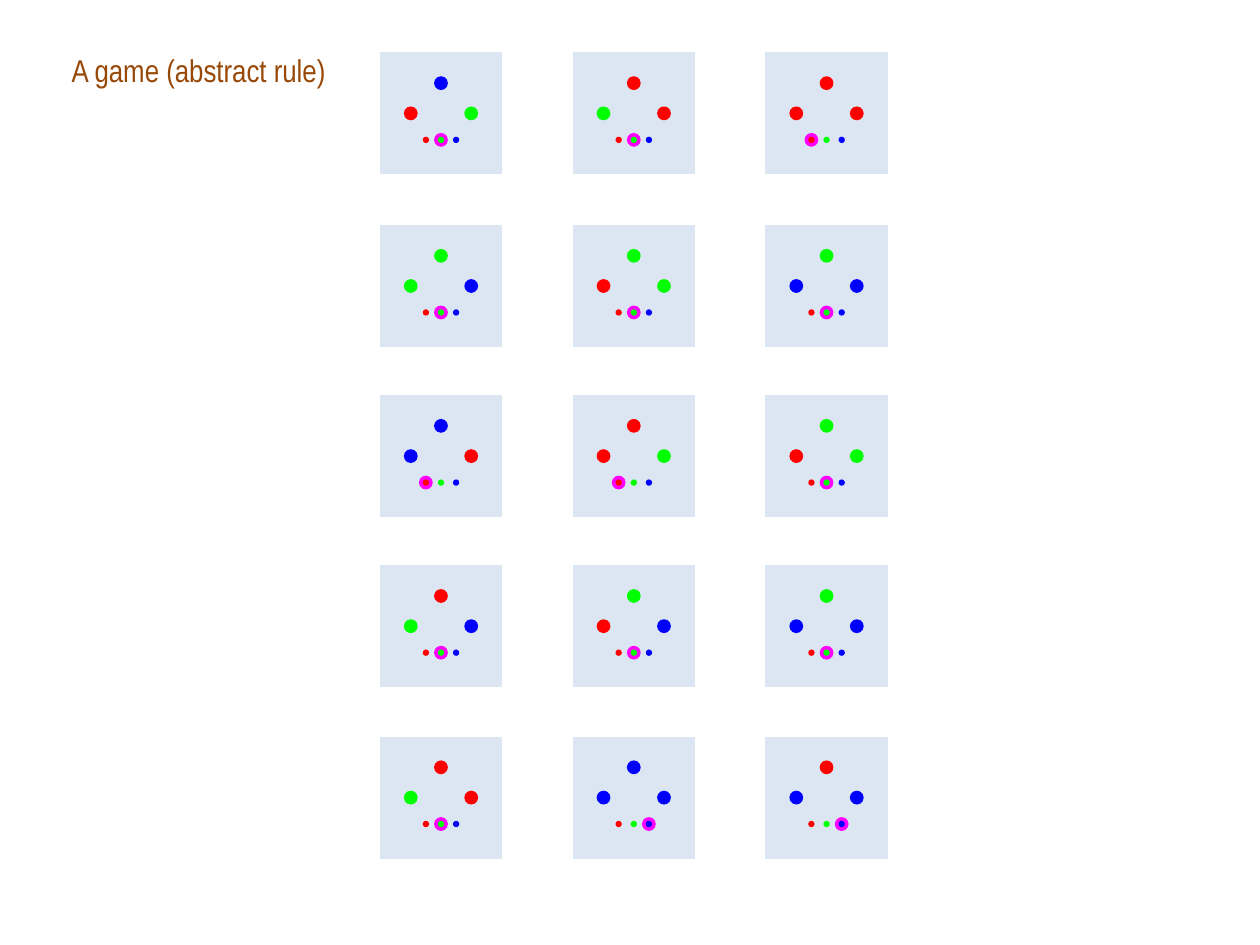
from dataclasses import dataclass

from pptx import Presentation
from pptx.dml.color import RGBColor
from pptx.enum import shapes, text
from pptx.util import Inches, Pt


@dataclass(frozen=True)
class Theme:
    font: str = "Arial Narrow"
    title_size: int = 18
    title: str = "984807"
    panel: str = "DCE6F2"
    outline: str = "FFFFFF"
    marker: str = "FF00FF"


THEME = Theme()
COLOURS = {"R": "FF0000", "G": "00FF00", "B": "0000FF"}

COLUMN_LEFTS = [3.01 + 1.53 * column for column in range(3)]
ROW_TOPS = [0.41, 1.78, 3.13, 4.48, 5.84]
PANEL_SIZE = 0.98
DOT_SIZE = 0.11
CHOICE_SIZE = 0.05

# Dot centres measured from the panel's top left corner
DOT_CENTRES = [(0.25, 0.49), (0.49, 0.25), (0.73, 0.49)]
CHOICE_CENTRES = {"R": (0.37, 0.7), "G": (0.49, 0.7), "B": (0.61, 0.7)}

# Each round: colours of the left, top and right dots, then the marked choice
ROUNDS = [
    ["RBG G", "GRR G", "RRR R"],
    ["GGB G", "RGG G", "BGB G"],
    ["BBR R", "RRG R", "RGG G"],
    ["GRB G", "RGB G", "BGB G"],
    ["GRR G", "BBB B", "BRB B"],
]


def add_title(slide, words):
    box = slide.shapes.add_textbox(Inches(0.47), Inches(0.36), Inches(2.24), Inches(0.4))
    frame = box.text_frame
    frame.word_wrap = False
    frame.auto_size = text.MSO_AUTO_SIZE.SHAPE_TO_FIT_TEXT
    paragraph = frame.paragraphs[0]
    paragraph.text = words
    paragraph.font.name = THEME.font
    paragraph.font.size = Pt(THEME.title_size)
    paragraph.font.color.rgb = RGBColor.from_string(THEME.title)


def add_plain_shape(slide, kind, left, top, size, fill=None, line=None):
    shape = slide.shapes.add_shape(
        kind, Inches(left), Inches(top), Inches(size), Inches(size))
    shape.shadow.inherit = False
    if fill:
        shape.fill.solid()
        shape.fill.fore_color.rgb = RGBColor.from_string(fill)
    else:
        shape.fill.background()
    if line:
        shape.line.color.rgb = RGBColor.from_string(line)
        shape.line.width = Pt(0)
    else:
        shape.line.fill.background()


def add_dot(slide, panel_left, panel_top, centre, size, colour):
    x, y = centre
    add_plain_shape(slide, shapes.MSO_SHAPE.OVAL, panel_left + x - size / 2,
                    panel_top + y - size / 2, size, fill=colour)


def add_panel(slide, left, top, dots, marked):
    rectangle = shapes.MSO_SHAPE.RECTANGLE
    add_plain_shape(slide, rectangle, left, top, PANEL_SIZE, fill=THEME.panel)
    add_plain_shape(slide, rectangle, left, top, PANEL_SIZE, line=THEME.outline)
    for centre, letter in zip(DOT_CENTRES, dots):
        add_dot(slide, left, top, centre, DOT_SIZE, COLOURS[letter])
    for letter, centre in CHOICE_CENTRES.items():
        if letter == marked:
            add_dot(slide, left, top, centre, DOT_SIZE, THEME.marker)
        add_dot(slide, left, top, centre, CHOICE_SIZE, COLOURS[letter])


def main():
    presentation = Presentation()
    presentation.slide_width = Inches(10)
    presentation.slide_height = Inches(7.5)
    slide = presentation.slides.add_slide(presentation.slide_layouts[6])
    add_title(slide, "A game (abstract rule)")
    for top, row in zip(ROW_TOPS, ROUNDS):
        for left, game_round in zip(COLUMN_LEFTS, row):
            dots, marked = game_round.split()
            add_panel(slide, left, top, dots, marked)
    presentation.save("out.pptx")


if __name__ == "__main__":
    main()
